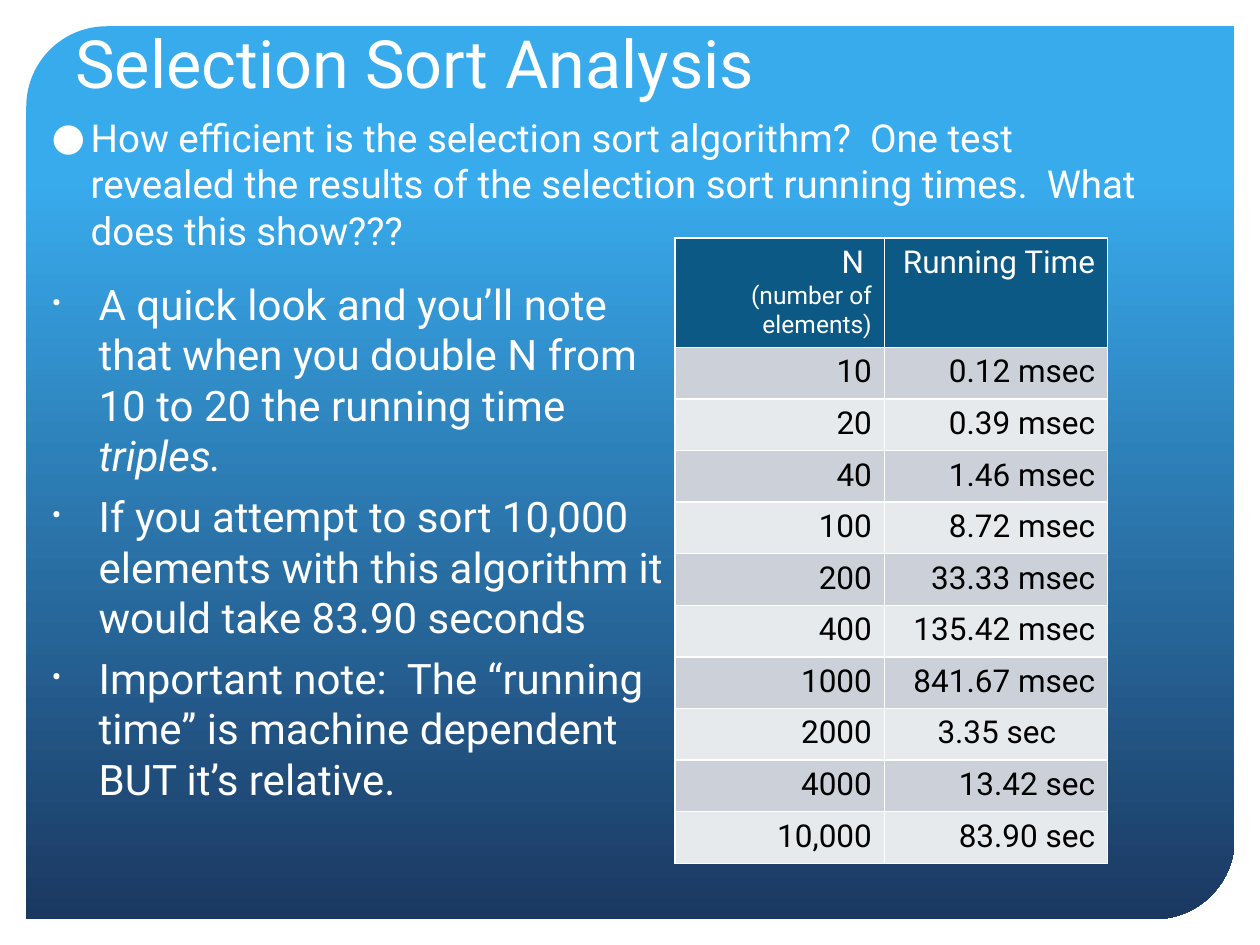
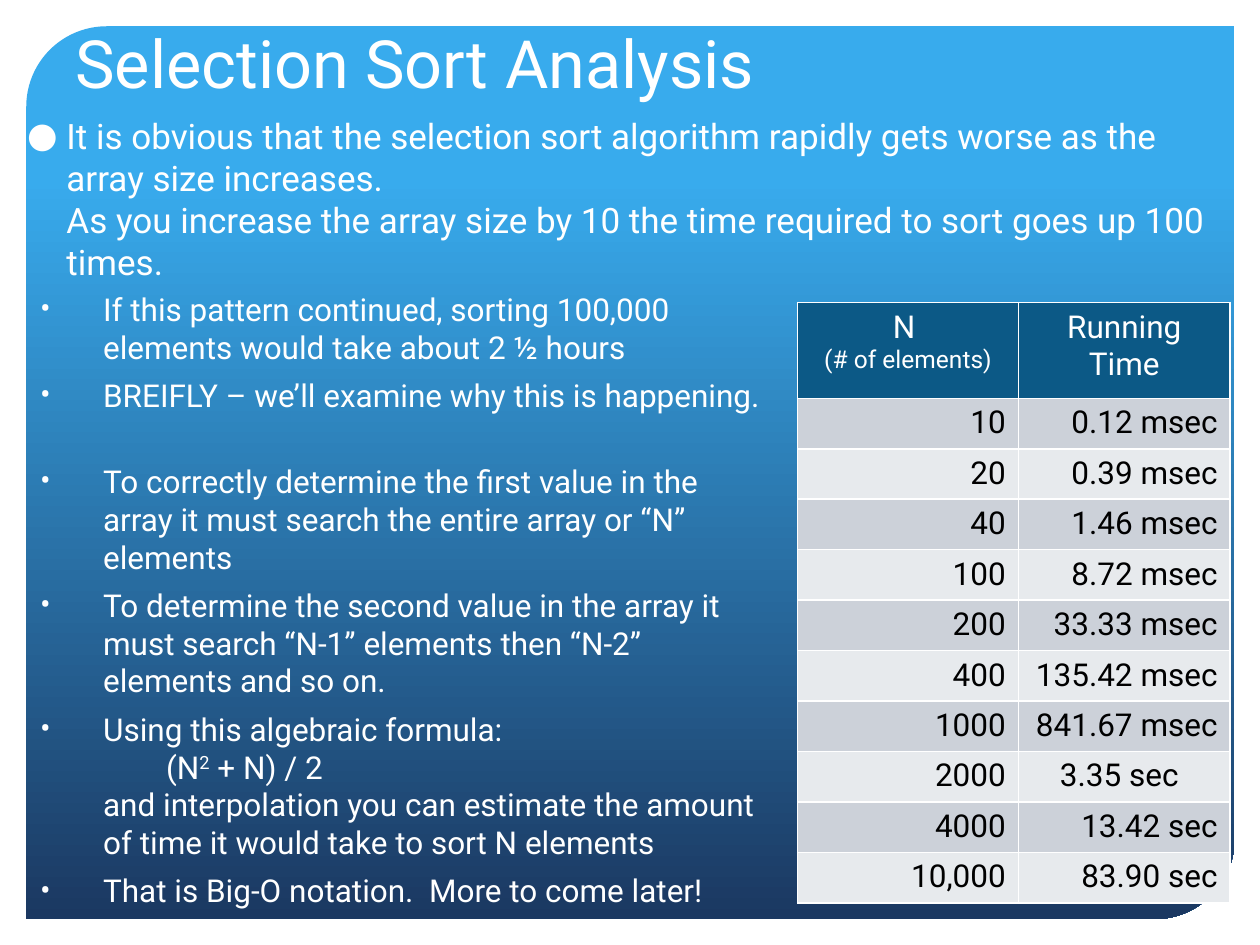
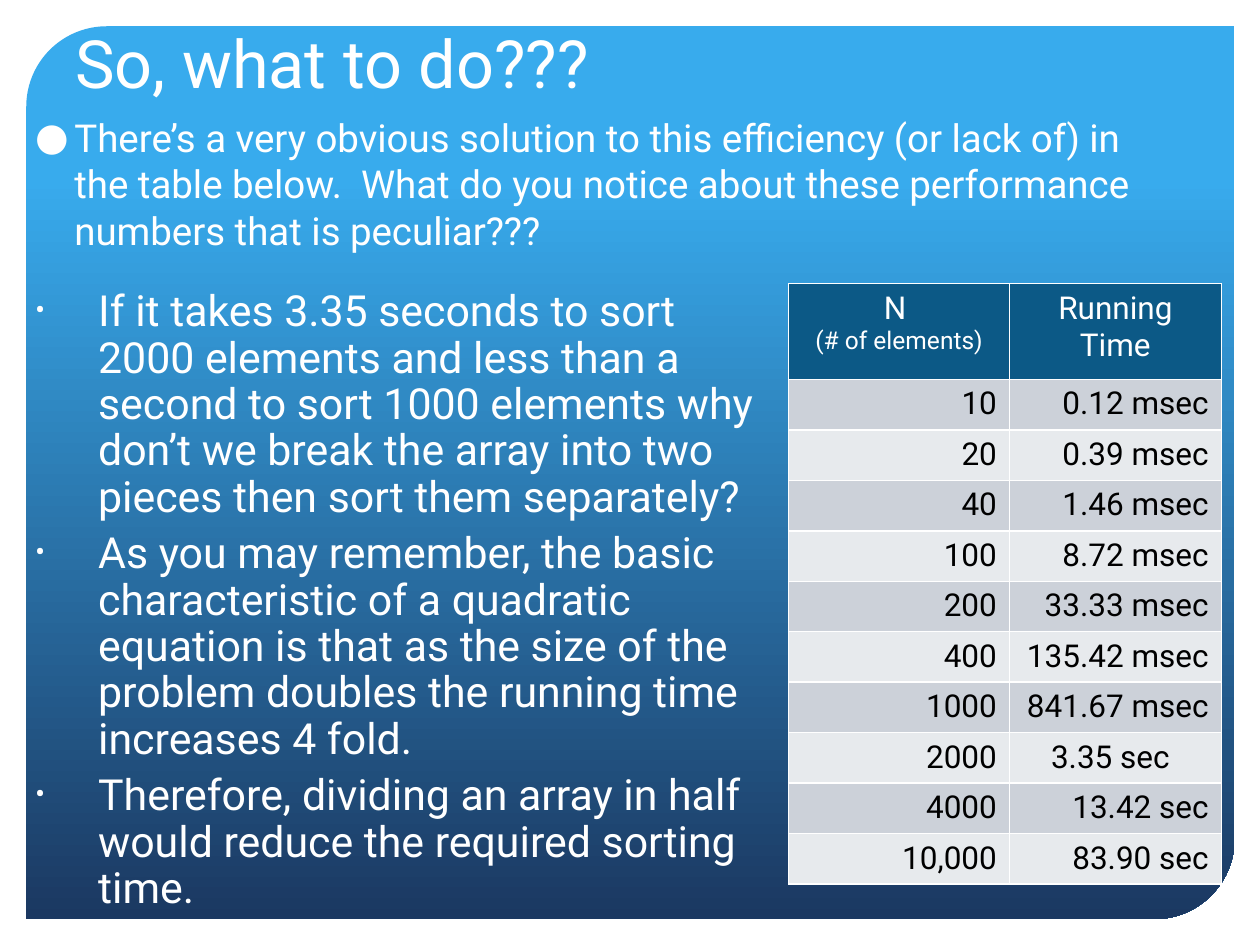
from lxml import etree
from pptx import Presentation
from pptx import util as u
from pptx.dml.color import RGBColor
from pptx.enum import shapes, text
from pptx.oxml.ns import qn

Cm, Pt = u.Cm, u.Pt
FONT = "Roboto"
COLORS = {
    "white": "FFFFFF", "black": "000000",
    "sky": "38ABED", "navy": "1B3861",
    "header": "0C5986", "odd": "CCD1D9", "even": "E7EAED",
}
RIGHT, CENTER = text.PP_ALIGN.RIGHT, text.PP_ALIGN.CENTER

TIMES = [
    ("10", "0.12 msec"), ("20", "0.39 msec"), ("40", "1.46 msec"),
    ("100", "8.72 msec"), ("200", "33.33 msec"), ("400", "135.42 msec"),
    ("1000", "841.67 msec"), ("2000", "3.35 sec"), ("4000", "13.42 sec"),
    ("10,000", "83.90 sec"),
]


def rgb(name):
    return RGBColor.from_string(COLORS[name])


def style(p, size, color="white"):
    for r in p.runs:
        r.font.name, r.font.size, r.font.bold = FONT, Pt(size), False
        r.font.color.rgb = rgb(color)


def add_pieces(p, pieces):
    """Fill a paragraph from strings and (string, mark) pairs."""
    for piece in pieces:
        words, mark = (piece, None) if isinstance(piece, str) else piece
        for i, line in enumerate(words.split("\n")):
            if i:
                p.add_line_break()
            r = p.add_run()
            r.text = line
            if mark == "italic":
                r.font.italic = True
            elif mark == "super":
                r.font._element.set("baseline", "30000")


def set_bullet(p, char, indent, percent):
    pPr = p._p.get_or_add_pPr()
    pPr.set("marL", str(Cm(indent)))
    pPr.set("indent", str(-Cm(indent)))
    color = etree.SubElement(pPr, qn("a:buClr"))
    etree.SubElement(color, qn("a:srgbClr"), val=COLORS["white"])
    etree.SubElement(pPr, qn("a:buSzPct"), val=str(percent * 1000))
    etree.SubElement(pPr, qn("a:buFont"), typeface=FONT)
    etree.SubElement(pPr, qn("a:buChar"), char=char)


def add_box(s, box):
    tf = s.shapes.add_textbox(*map(Cm, box)).text_frame
    tf.word_wrap = True
    return tf


def add_base(prs, title):
    """Blank slide with the gradient panel and the title."""
    s = prs.slides.add_slide(prs.slide_layouts[6])
    sp = s.shapes.add_shape(shapes.MSO_SHAPE.ROUND_2_DIAG_RECTANGLE,
                            Cm(0.53), Cm(0.53), Cm(24.36), Cm(18))
    sp.shadow.inherit = False
    sp.adjustments[0], sp.adjustments[1] = 0.09, 0
    sp.line.fill.background()
    sp.fill.gradient()
    sp.fill.gradient_angle = 270
    stops = ((0.17, "sky"), (1, "navy"))
    for stop, (position, color) in zip(sp.fill.gradient_stops, stops):
        stop.position = position
        stop.color.rgb = rgb(color)

    tf = add_box(s, (1.27, 0, 20.75, 2.18))
    tf.vertical_anchor = text.MSO_ANCHOR.BOTTOM
    tf.text = title
    style(tf.paragraphs[0], 38)
    return s


def add_bullets(s, box, items, size, indent, char="•", percent=100,
                spacing=None, gaps=None):
    """Bulleted list; gaps maps an item's index to a larger space before."""
    tf = add_box(s, box)
    for i, item in enumerate(items):
        p = tf.add_paragraph() if i else tf.paragraphs[0]
        add_pieces(p, [item] if isinstance(item, str) else item)
        style(p, size)
        if spacing:
            p.line_spacing = spacing
        p.space_before = Pt((gaps or {}).get(i, 6))
        set_bullet(p, char, indent, percent)


def add_intro(s, box, words, size=22):
    add_bullets(s, box, [words], size, 0.79, char="●")


def fill_cell(cell, words, fill, color, align):
    cell.text_frame.text = words
    for i, p in enumerate(cell.text_frame.paragraphs):
        p.alignment = align
        style(p, 14 if i else 18, color)
    cell.fill.solid()
    cell.fill.fore_color.rgb = rgb(fill)
    tcPr = cell._tc.get_or_add_tcPr()
    for i, side in enumerate(("lnL", "lnR", "lnT", "lnB")):
        ln = etree.Element(qn("a:" + side), w=str(Pt(1)))
        solid = etree.SubElement(ln, qn("a:solidFill"))
        etree.SubElement(solid, qn("a:srgbClr"), val=COLORS["white"])
        tcPr.insert(i, ln)


def add_times(s, left, top, widths, heights, label, align):
    """Running time table; heights are those of the header and a row."""
    head, row = heights
    n = len(TIMES)
    table = s.shapes.add_table(n + 1, 2, Cm(left), Cm(top), Cm(sum(widths)),
                               Cm(head + n * row)).table
    for column, width in zip(table.columns, widths):
        column.width = Cm(width)
    for i, values in enumerate([(label, "Running Time")] + TIMES):
        table.rows[i].height = Cm(row if i else head)
        for j, words in enumerate(values):
            cell = table.cell(i, j)
            if i == 0:
                fill_cell(cell, words, "header", "white", align)
            else:
                fill_cell(cell, words, "odd" if i % 2 else "even", "black", RIGHT)
            if words == "3.35 sec":
                cell.margin_right = Cm(1.04)


def add_small_times(s, left, top):
    add_times(s, left, top, (4.45, 4.27), (1.93, 1), "N \n(# of elements)", CENTER)


def main():
    prs = Presentation()
    prs.slide_width, prs.slide_height = Cm(25.4), Cm(19.05)

    # Measured running times
    s = add_base(prs, "Selection Sort Analysis")
    add_intro(s, (0.79, 2.18, 22.91, 3.81),
              "How efficient is the selection sort algorithm?  One test revealed "
              "the results of the selection sort running times.  What does this show???")
    add_times(s, 13.61, 4.8, (4.22, 4.5), (2.16, 1.04),
              "N \n(number of elements)", RIGHT)
    add_bullets(s, (0.79, 5.49, 12.83, 12.5), [
        ["A quick look and you’ll note that when you double N from 10 to 20 "
         "the running time ", ("triples.", "italic")],
        "If you attempt to sort 10,000 elements with this algorithm it would "
        "take 83.90 seconds",
        "Important note:  The “running time” is machine dependent BUT it’s relative.",
    ], 24, 0.95, percent=70)

    # Growth of the running time
    s = add_base(prs, "Selection Sort Analysis")
    add_intro(s, (0.3, 2.18, 24.49, 2.67),
              "It is obvious that the selection sort algorithm rapidly gets worse "
              "as the array size increases.\nAs you increase the array size by 10 "
              "the time required to sort goes up 100 times.", 20)
    add_small_times(s, 16.08, 6.1)
    add_bullets(s, (0.56, 5.72, 15.11, 13.34), [
        "If this pattern continued, sorting 100,000 elements would take about "
        "2 ½ hours",
        "BREIFLY – we’ll examine why this is happening.",
        "To correctly determine the first value in the array it must search the "
        "entire array or “N” elements",
        "To determine the second value in the array it must search “N-1” "
        "elements then “N-2” elements and so on.",
        ["Using this algebraic formula:\n\t(N", ("2", "super"),
         " + N) / 2\nand interpolation you can estimate the amount of time it "
         "would take to sort N elements"],
        "That is Big-O notation.  More to come later!",
    ], 18, 1.27, gaps={2: 27.5})

    # Splitting the array
    s = add_base(prs, "So, what to do???")
    add_intro(s, (0.46, 2.18, 23.22, 3.05),
              "There’s a very obvious solution to this efficiency (or lack of) in "
              "the table below.  What do you notice about these performance numbers "
              "that is peculiar???")
    add_small_times(s, 15.9, 5.72)
    add_bullets(s, (0.46, 5.72, 15.04, 13.34), [
        "If it takes 3.35 seconds to sort 2000 elements and less than a second "
        "to sort 1000 elements why don’t we break the array into two pieces "
        "then sort them separately?",
        "As you may remember, the basic characteristic of a quadratic equation "
        "is that as the size of the problem doubles the running time increases "
        "4 fold.",
        "Therefore, dividing an array in half would reduce the required sorting "
        "time.",
    ], 24.5, 1.27, percent=70, spacing=0.9)

    prs.save("out.pptx")


if __name__ == "__main__":
    main()
